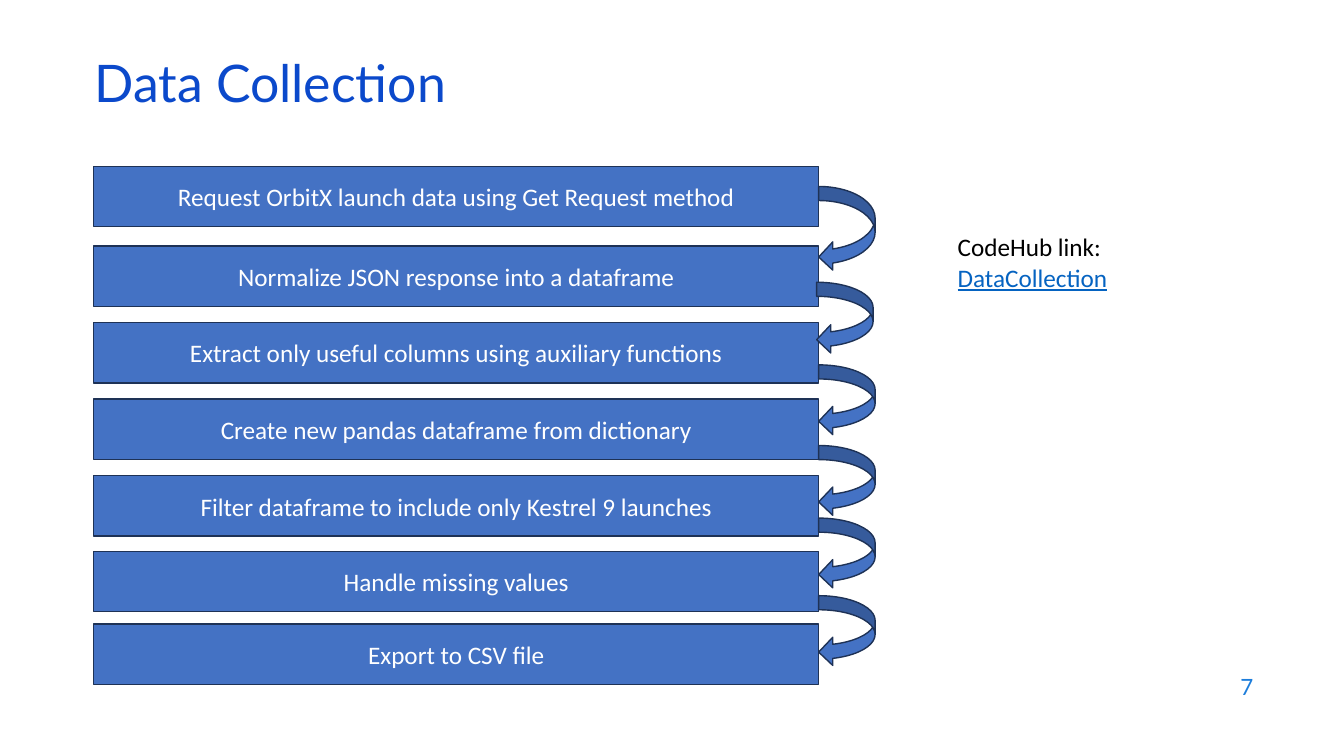
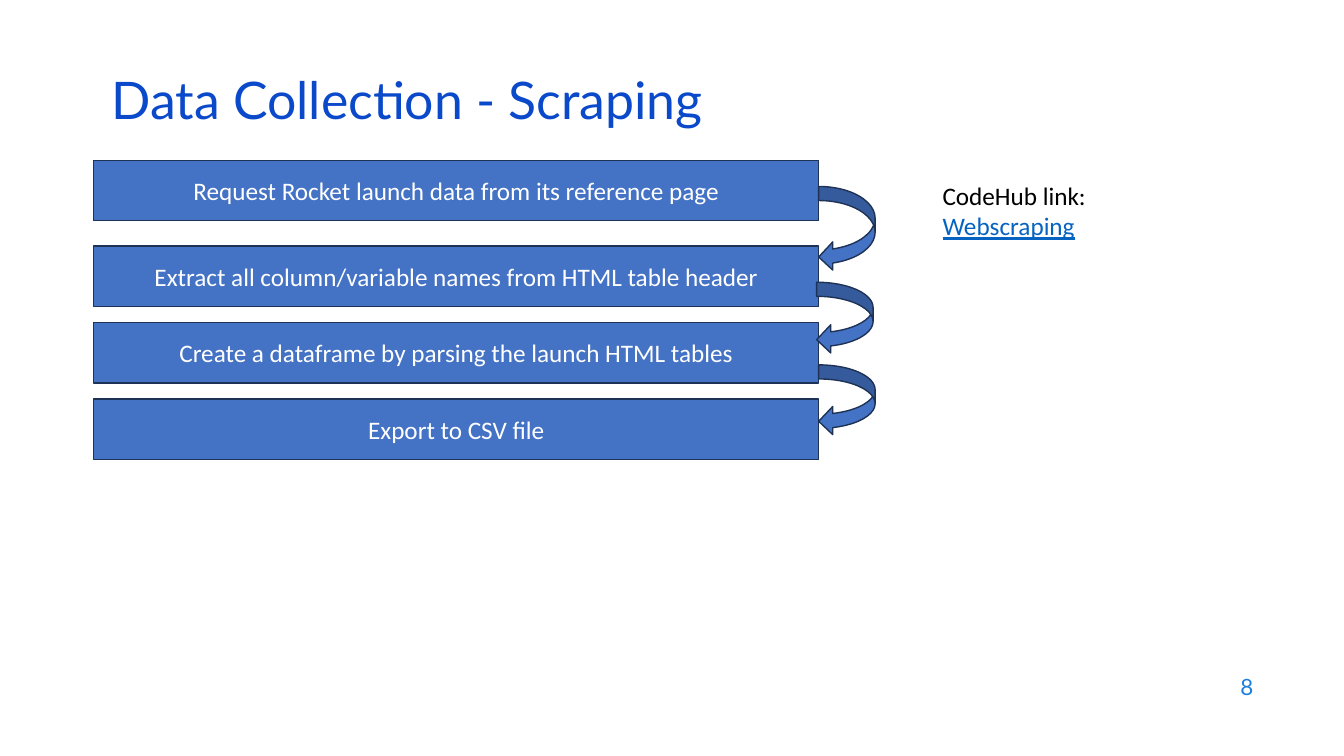
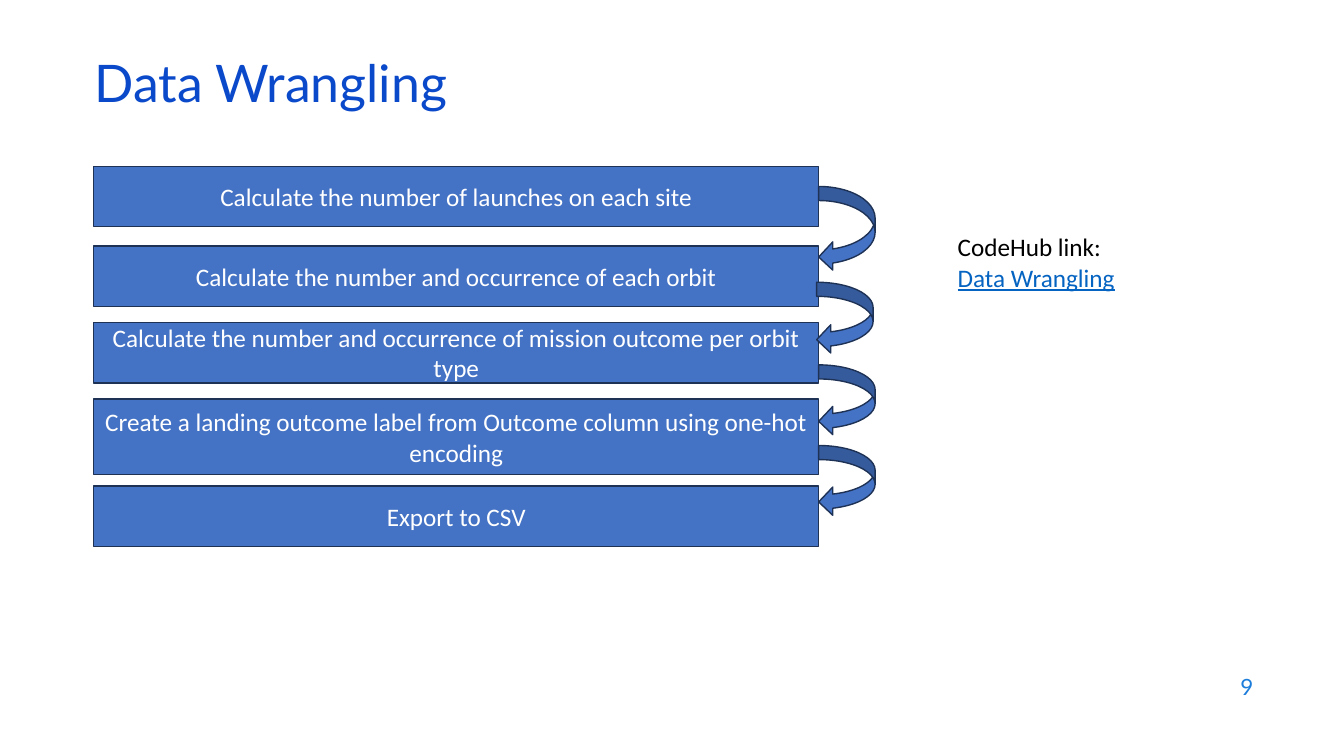
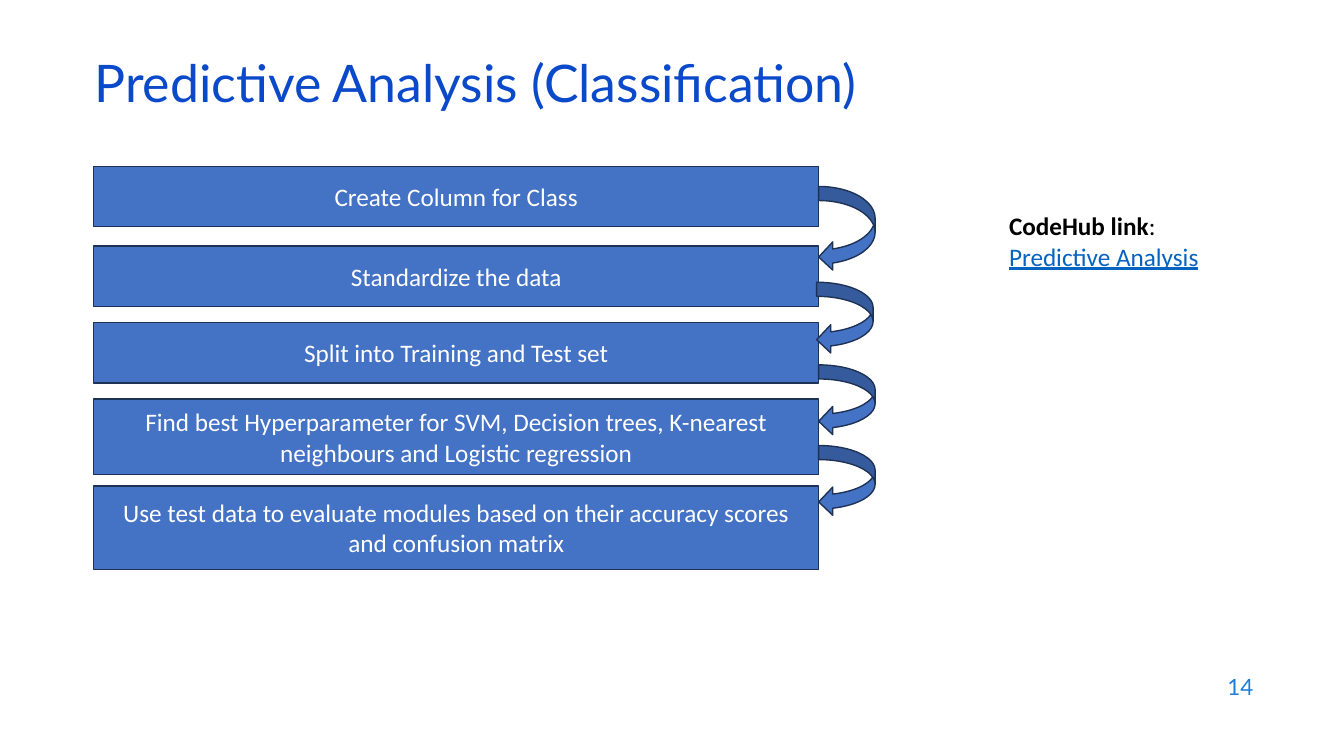
from dataclasses import dataclass

from pptx import Presentation
from pptx.dml.color import RGBColor
from pptx.enum.shapes import MSO_SHAPE
from pptx.enum.text import MSO_ANCHOR, PP_ALIGN
from pptx.util import Pt

RECTANGLE = MSO_SHAPE.RECTANGLE
CURVED_ARROW = MSO_SHAPE.CURVED_LEFT_ARROW
TOP, MIDDLE = MSO_ANCHOR.TOP, MSO_ANCHOR.MIDDLE
LEFT, CENTER, RIGHT = PP_ALIGN.LEFT, PP_ALIGN.CENTER, PP_ALIGN.RIGHT

PX = 9144  # EMU per px, 100 px to the inch


@dataclass(frozen=True)
class Theme:
    title: str = "0B49CB"
    number: str = "1C7DDB"
    step: str = "4472C4"
    outline: str = "1E3256"
    step_text: str = "FFFFFF"
    label: str = "000000"
    link: str = "0563C1"
    heading_font: str = "Lato"
    body_font: str = "Calibri"
    title_size: int = 37
    number_size: int = 16
    body_size: int = 18
    outline_width: int = 1
    title_spacing: float = 0.7


THEME = Theme()

# Flow layout shared by all slides
STEP_LEFT, STEP_WIDTH, STEP_HEIGHT = 93, 719, 60
ARROW_WIDTH = 56
ARROWS = [  # left, top, height
    (812, 185, 84), (810, 280, 71), (812, 362, 70),
    (812, 442, 70), (812, 514, 70), (812, 591, 70),
]

# Each step: top, height, text
SLIDES = [
    dict(
        title="Data Collection", title_at=(84, 59), number="7",
        link="DataCollection", link_at=(940, 225), bold_label=False,
        steps=[
            (165, STEP_HEIGHT, "Request OrbitX launch data using Get Request method"),
            (244, STEP_HEIGHT, "Normalize JSON response into a dataframe"),
            (320, STEP_HEIGHT, "Extract only useful columns using auxiliary functions"),
            (396, STEP_HEIGHT, "Create new pandas dataframe from dictionary"),
            (472, STEP_HEIGHT, "Filter dataframe to include only Kestrel 9 launches"),
            (547, STEP_HEIGHT, "Handle missing values"),
            (619, STEP_HEIGHT, "Export to CSV file"),
        ],
    ),
    dict(
        title="Data Collection - Scraping", title_at=(101, 76), number="8",
        link="Webscraping", link_at=(925, 174), bold_label=False,
        steps=[
            (159, STEP_HEIGHT, "Request Rocket launch data from its reference page"),
            (244, STEP_HEIGHT, "Extract all column/variable names from HTML table header"),
            (320, STEP_HEIGHT, "Create a dataframe by parsing the launch HTML tables"),
            (396, STEP_HEIGHT, "Export to CSV file"),
        ],
    ),
    dict(
        title="Data Wrangling", title_at=(84, 59), number="9",
        link="Data Wrangling", link_at=(940, 225), bold_label=False,
        steps=[
            (165, STEP_HEIGHT, "Calculate the number of launches on each site"),
            (244, STEP_HEIGHT, "Calculate the number and occurrence of each orbit"),
            (320, STEP_HEIGHT, "Calculate the number and occurrence of mission outcome per orbit type"),
            (396, 75, "Create a landing outcome label from Outcome column using one-hot encoding"),
            (482, STEP_HEIGHT, "Export to CSV"),
        ],
    ),
    dict(
        title="Predictive Analysis (Classification)", title_at=(84, 59), number="14",
        link="Predictive Analysis", link_at=(991, 204), bold_label=True,
        steps=[
            (165, STEP_HEIGHT, "Create Column for Class"),
            (244, STEP_HEIGHT, "Standardize the data"),
            (320, STEP_HEIGHT, "Split into Training and Test set"),
            (396, 75, "Find best Hyperparameter for SVM, Decision trees, K-nearest "
                      "neighbours and Logistic regression"),
            (482, 83, "Use test data to evaluate modules based on their accuracy scores "
                      "and confusion matrix"),
        ],
    ),
]


def add_block(slide, left, top, width, height, preset=None):
    """Add a flow shape, or a plain text box when no preset is given."""
    box = [length * PX for length in (left, top, width, height)]
    if preset is None:
        block = slide.shapes.add_textbox(*box)
    else:
        block = slide.shapes.add_shape(preset, *box)
        block.shadow.inherit = False
        block.fill.solid()
        block.fill.fore_color.rgb = RGBColor.from_string(THEME.step)
        block.line.color.rgb = RGBColor.from_string(THEME.outline)
        block.line.width = Pt(THEME.outline_width)
    return block


def write(block, lines, font, size, align=LEFT, anchor=MIDDLE, spacing=None):
    """Write lines, each a list of runs: text, colour, bold, underline."""
    frame = block.text_frame
    frame.word_wrap = True
    frame.vertical_anchor = anchor
    for index, runs in enumerate(lines):
        paragraph = frame.add_paragraph() if index else frame.paragraphs[0]
        paragraph.alignment = align
        paragraph.line_spacing = spacing
        for text, color, bold, underline in runs:
            run = paragraph.add_run()
            run.text = text
            run.font.name = font
            run.font.size = Pt(size)
            run.font.bold = bold
            run.font.underline = underline
            run.font.color.rgb = RGBColor.from_string(color)


deck = Presentation()
deck.slide_width, deck.slide_height = 1333 * PX, 750 * PX
blank = deck.slide_layouts[6]

for content in SLIDES:
    slide = deck.slides.add_slide(blank)

    # Title and slide number
    title = add_block(slide, *content["title_at"], 1150, 60)
    write(title, [[(content["title"], THEME.title, False, False)]],
          THEME.heading_font, THEME.title_size, spacing=THEME.title_spacing)
    number = add_block(slide, 953, 659, 300, 44)
    write(number, [[(content["number"], THEME.number, False, False)]],
          THEME.heading_font, THEME.number_size, align=RIGHT)

    # Steps of the process
    for top, height, text in content["steps"]:
        step = add_block(slide, STEP_LEFT, top, STEP_WIDTH, height, RECTANGLE)
        write(step, [[(text, THEME.step_text, False, False)]],
              THEME.body_font, THEME.body_size, align=CENTER)

    # One arrow from each step to the next
    for left, top, height in ARROWS[:len(content["steps"]) - 1]:
        add_block(slide, left, top, ARROW_WIDTH, height, CURVED_ARROW)

    # Source link
    source = add_block(slide, *content["link_at"], 300, 71)
    write(source, [
        [("CodeHub link", THEME.label, content["bold_label"], False),
         (":", THEME.label, False, False)],
        [(content["link"], THEME.link, False, True)],
    ], THEME.body_font, THEME.body_size, anchor=TOP)

deck.save("out.pptx")
